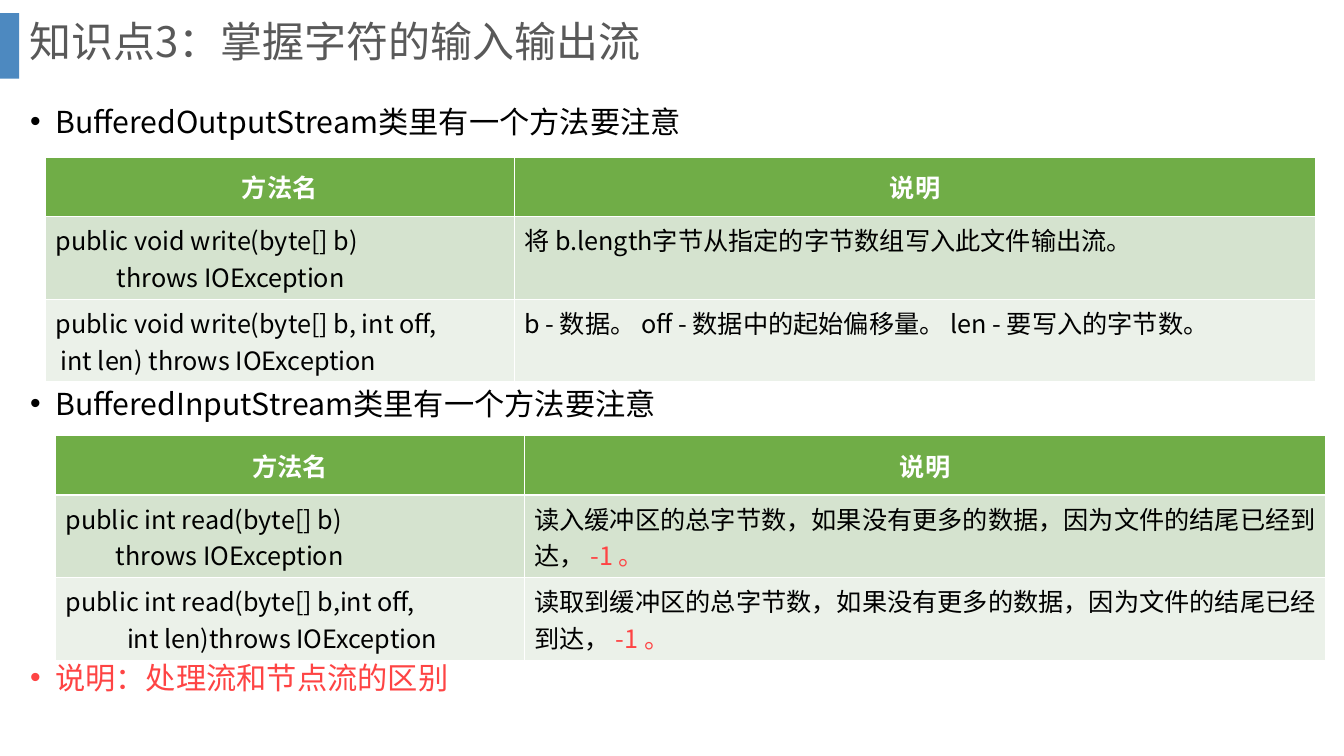
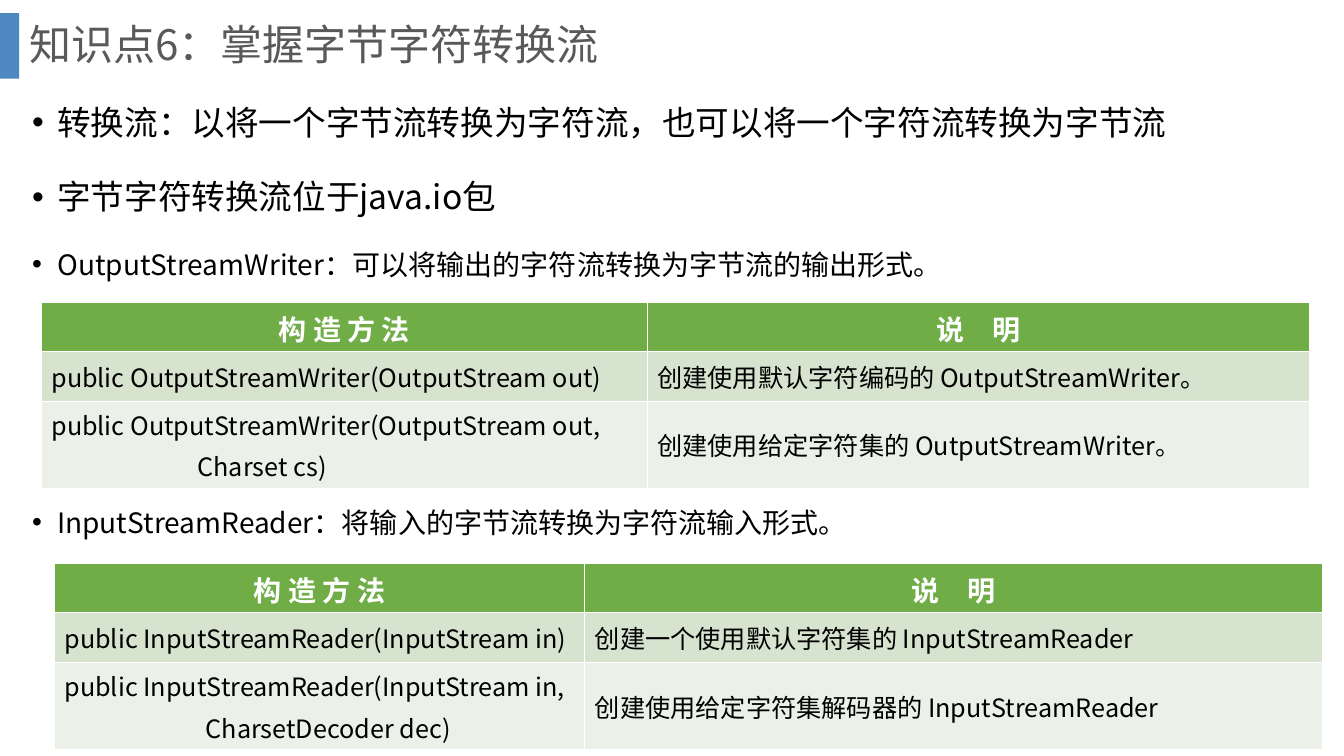
from lxml.etree import SubElement
from pptx import Presentation
from pptx.dml.color import RGBColor
from pptx.enum.shapes import MSO_SHAPE as Shape
from pptx.enum.text import MSO_ANCHOR as Anchor, PP_ALIGN as Align
from pptx.oxml.ns import qn
from pptx.util import Inches, Pt

FONT = "Noto Sans CJK SC"
BLACK, WHITE, GRAY, RED = "000000", "FFFFFF", "595959", "FE4444"
BLUE, GREEN = "2E75B6", "70AD47"
BANDS = ["D5E3CF", "EBF1E9"]

# Content: bullets are (centre height, size, colour, text);
# table rows are (first line, indent of second line, second line, description, red ending)
READ_NOTE = "读取到缓冲区的总字节数，如果没有更多的数据，因为文件的结尾已经到达，"
PAGES = [
    {
        "title": "知识点3：掌握字符的输入输出流", "title_height": 0.87, "left": 0.2,
        "bullets": [
            (1.2, 21.6, BLACK, "BufferedOutputStream类里有一个方法要注意"),
            (4, 21.6, BLACK, "BufferedInputStream类里有一个方法要注意"),
            (6.72, 21.6, RED, "说明：处理流和节点流的区别"),
        ],
        "header": ["方法名", "说明"], "header_size": 18,
        "row_heights": [0.59, 0.82, 0.82], "line_gap": 0, "note_anchor": Anchor.TOP,
        "tables": [
            (0.45, 1.56, [4.65, 7.95], [
                ("public void write(byte[] b)", 0.61, "throws IOException",
                 "将 b.length字节从指定的字节数组写入此文件输出流。", ""),
                ("public void write(byte[] b, int off,", 0.05, "int len) throws IOException",
                 "b - 数据。 off - 数据中的起始偏移量。 len - 要写入的字节数。", ""),
            ]),
            (0.55, 4.32, [4.65, 7.95], [
                ("public int read(byte[] b)", 0.5, "throws IOException",
                 READ_NOTE.replace("读取到", "读入"), " -1 。"),
                ("public int read(byte[] b,int off,", 0.61, "int len)throws IOException",
                 READ_NOTE, " -1 。"),
            ]),
        ],
    },
    {
        "title": "知识点6：掌握字节字符转换流", "title_height": 0.93, "left": 0.22,
        "bullets": [
            (1.21, 24, BLACK, "转换流：以将一个字节流转换为字符流，也可以将一个字符流转换为字节流"),
            (1.95, 24, BLACK, "字节字符转换流位于java.io包"),
            (2.62, 20, BLACK, "OutputStreamWriter：可以将输出的字符流转换为字节流的输出形式。"),
            (5.18, 20, BLACK, "InputStreamReader：将输入的字节流转换为字符流输入形式。"),
        ],
        "header": ["构 造 方 法", "说　明"], "header_size": 20,
        "row_heights": [0.49, 0.49, 0.87], "line_gap": 3.6, "note_anchor": Anchor.MIDDLE,
        "tables": [
            (0.41, 3, [6.01, 6.57], [
                ("public OutputStreamWriter(OutputStream out)", 0, "",
                 "创建使用默认字符编码的 OutputStreamWriter。", ""),
                ("public OutputStreamWriter(OutputStream out,", 1.45, "Charset cs)",
                 "创建使用给定字符集的 OutputStreamWriter。", ""),
            ]),
            (0.54, 5.59, [5.26, 7.32], [
                ("public InputStreamReader(InputStream in)", 0, "",
                 "创建一个使用默认字符集的 InputStreamReader", ""),
                ("public InputStreamReader(InputStream in,", 1.4, "CharsetDecoder dec)",
                 "创建使用给定字符集解码器的 InputStreamReader", ""),
            ]),
        ],
    },
]


def rgb(color):
    return RGBColor.from_string(color)


def write(para, spans, size, bold=False):
    """Fill a paragraph with (text, colour) spans in the shared font."""
    font = para.font
    font.name, font.size, font.bold = FONT, Pt(size), bold
    defaults = para._p.pPr.find(qn("a:defRPr"))
    SubElement(defaults, qn("a:ea")).set("typeface", FONT)
    for text, color in spans:
        if text:
            span = para.add_run()
            span.text = text
            span.font.color.rgb = rgb(color)


def indent(para, left, first=0):
    props = para._p.get_or_add_pPr()
    props.set("marL", str(Inches(left)))
    props.set("indent", str(Inches(first)))
    return props


def add_text(page, left, top, width, height, text, size, color):
    box = page.shapes.add_textbox(*map(Inches, (left, top, width, height)))
    frame = box.text_frame
    frame.word_wrap = True
    frame.vertical_anchor = Anchor.MIDDLE
    para = frame.paragraphs[0]
    write(para, [(text, color)], size)
    return para


def add_title(page, text, height):
    bar = page.shapes.add_shape(Shape.RECTANGLE, 0, Inches(0.13), Inches(0.19), Inches(0.65))
    bar.shadow.inherit = False
    bar.line.fill.background()
    bar.fill.solid()
    bar.fill.fore_color.rgb = rgb(BLUE)
    tint = bar.fill._xPr.find(qn("a:solidFill"))[0]
    SubElement(tint, qn("a:alpha")).set("val", "85000")
    add_text(page, 0.19, 0, 12.66, height, text, 30, GRAY).line_spacing = 0.9


def add_bullet(page, left, centre, size, color, text):
    height = 0.6
    para = add_text(page, left, centre - height / 2, 12.9, height, text, size, color)
    props = indent(para, 0.25, -0.25)
    bullet = props.makeelement(qn("a:buChar"), {"char": "•"})
    props.insert(0, bullet)
    typeface = props.makeelement(qn("a:buFont"), {"typeface": "Arial"})
    bullet.addprevious(typeface)


def fill_cell(cell, color, anchor):
    cell.fill.solid()
    cell.fill.fore_color.rgb = rgb(color)
    cell.vertical_anchor = anchor
    return cell.text_frame


def add_method_table(page, content, left, top, widths, rows):
    heights = content["row_heights"]
    table = page.shapes.add_table(
        len(heights), len(widths), Inches(left), Inches(top),
        Inches(sum(widths)), Inches(sum(heights))).table
    for column, width in zip(table.columns, widths):
        column.width = Inches(width)
    for row, height in zip(table.rows, heights):
        row.height = Inches(height)

    for cell, label in zip(table.rows[0].cells, content["header"]):
        para = fill_cell(cell, GREEN, Anchor.MIDDLE).paragraphs[0]
        para.alignment = Align.CENTER
        write(para, [(label, WHITE)], content["header_size"], bold=True)

    for number, (line, shift, second, note, ending) in enumerate(rows):
        band = BANDS[number % 2]
        frame = fill_cell(table.cell(number + 1, 0), band, Anchor.MIDDLE)
        write(frame.paragraphs[0], [(line, BLACK)], 18)
        if second:
            para = frame.add_paragraph()
            para.space_before = Pt(content["line_gap"])
            write(para, [(second, BLACK)], 18)
            indent(para, shift)
        frame = fill_cell(table.cell(number + 1, 1), band, content["note_anchor"])
        write(frame.paragraphs[0], [(note, BLACK), (ending, RED)], 18)


def main():
    deck = Presentation()
    deck.slide_width, deck.slide_height = Inches(13.33), Inches(7.5)
    for content in PAGES:
        page = deck.slides.add_slide(deck.slide_layouts[6])
        add_title(page, content["title"], content["title_height"])
        for bullet in content["bullets"]:
            add_bullet(page, content["left"], *bullet)
        for table in content["tables"]:
            add_method_table(page, content, *table)
    deck.save("out.pptx")


if __name__ == "__main__":
    main()
